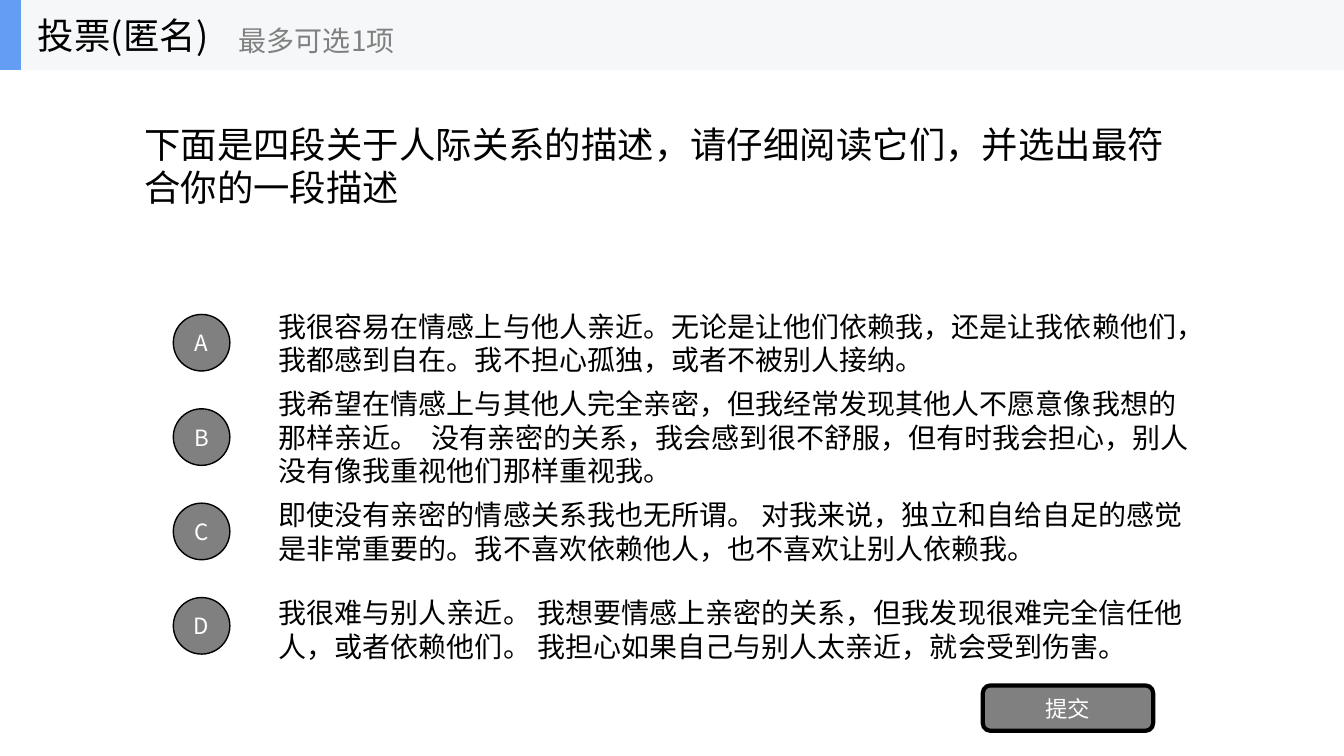
from pptx import Presentation
from pptx.dml.color import RGBColor
from pptx.enum.shapes import MSO_SHAPE
from pptx.enum.text import MSO_ANCHOR, PP_ALIGN
from pptx.oxml.ns import qn
from pptx.util import Pt

RECT, ROUND_RECT, OVAL = MSO_SHAPE.RECTANGLE, MSO_SHAPE.ROUNDED_RECTANGLE, MSO_SHAPE.OVAL
MIDDLE, LEFT, CENTER = MSO_ANCHOR.MIDDLE, PP_ALIGN.LEFT, PP_ALIGN.CENTER

BLACK = RGBColor(0x00, 0x00, 0x00)
WHITE = RGBColor(0xFF, 0xFF, 0xFF)
GRAY = RGBColor(0x80, 0x80, 0x80)
BAR = RGBColor(0xF6, 0xF7, 0xF8)
BLUE = RGBColor(0x63, 0x9E, 0xF4)

FONT = "Noto Sans CJK SC"
SLIDE_W, SLIDE_H = 960, 540
HEADER_H = 50

FIRST_ROW, ROW_STEP = 244.8, 67.4  # row centres
CIRCLE, OPTION_H = 40.4, 50.4

# letter, description, drop of the description below the row centre
OPTIONS = [
    ("A", "我很容易在情感上与他人亲近。无论是让他们依赖我，还是让我依赖他们，"
          "我都感到自在。我不担心孤独，或者不被别人接纳。", 0),
    ("B", "我希望在情感上与其他人完全亲密，但我经常发现其他人不愿意像我想的"
          "那样亲近。  没有亲密的关系，我会感到很不舒服，但有时我会担心，别人"
          "没有像我重视他们那样重视我。", 0),
    ("C", "即使没有亲密的情感关系我也无所谓。 对我来说，独立和自给自足的感觉"
          "是非常重要的。我不喜欢依赖他人，也不喜欢让别人依赖我。", 0),
    ("D", "我很难与别人亲近。 我想要情感上亲密的关系，但我发现很难完全信任他"
          "人，或者依赖他们。 我担心如果自己与别人太亲近，就会受到伤害。", 2.4),
]


def write(s, text, size, color, align):
    """Fill a shape with one vertically centred paragraph."""
    tf = s.text_frame
    tf.vertical_anchor = MIDDLE
    p = tf.paragraphs[0]
    r = p.add_run()
    r.text = text
    p.alignment = align
    p.font.name = FONT
    p.font.size = Pt(size)
    p.font.color.rgb = color
    # East Asian glyphs take their typeface from the run
    r.font.name = FONT
    ea = r._r.get_or_add_rPr().makeelement(qn("a:ea"), {"typeface": FONT})
    r.font._element.append(ea)
    return p


def add_text(slide, x, y, w, h, text, size, color=BLACK, wrap=True):
    s = slide.shapes.add_textbox(Pt(x), Pt(y), Pt(w), Pt(h))
    s.text_frame.word_wrap = wrap
    p = write(s, text, size, color, LEFT)
    if wrap:
        p.line_spacing = Pt(round(size * 1.2, 1))


def add_block(slide, kind, x, y, w, h, fill, line=0, label=""):
    s = slide.shapes.add_shape(kind, Pt(x), Pt(y), Pt(w), Pt(h))
    s.shadow.inherit = False
    s.fill.solid()
    s.fill.fore_color.rgb = fill
    if line:
        s.line.color.rgb = BLACK
        s.line.width = Pt(line)
    else:
        s.line.fill.background()
    if label:
        write(s, label, 16, WHITE, CENTER)


def add_header(slide):
    add_block(slide, RECT, 0, 0, SLIDE_W, HEADER_H, BAR)
    add_block(slide, RECT, 0, 0, 15, HEADER_H, BLUE)
    add_text(slide, 20, 0, 160, HEADER_H, "投票(匿名)", 26, wrap=False)
    add_text(slide, 163.5, 8.6, 180, 40.4, "最多可选1项", 20, GRAY, wrap=False)


def add_option(slide, center, letter, text, drop):
    add_text(slide, 192, center + drop - OPTION_H / 2, 672, OPTION_H, text, 20)
    add_block(slide, OVAL, 123.8, center - CIRCLE / 2, CIRCLE, CIRCLE, GRAY, 1, letter)


def main():
    prs = Presentation()
    prs.slide_width, prs.slide_height = Pt(SLIDE_W), Pt(SLIDE_H)
    slide = prs.slides.add_slide(prs.slide_layouts[6])

    add_text(slide, 96, 34, 768, 168.5,
             "下面是四段关于人际关系的描述，请仔细阅读它们，并选出最符合你的一段描述", 26)
    for i, (letter, text, drop) in enumerate(OPTIONS):
        add_option(slide, FIRST_ROW + i * ROW_STEP, letter, text, drop)
    add_block(slide, ROUND_RECT, 702, 489.6, 121.7, 32.4, GRAY, 3, "提交")
    add_header(slide)

    prs.save("out.pptx")


if __name__ == "__main__":
    main()
